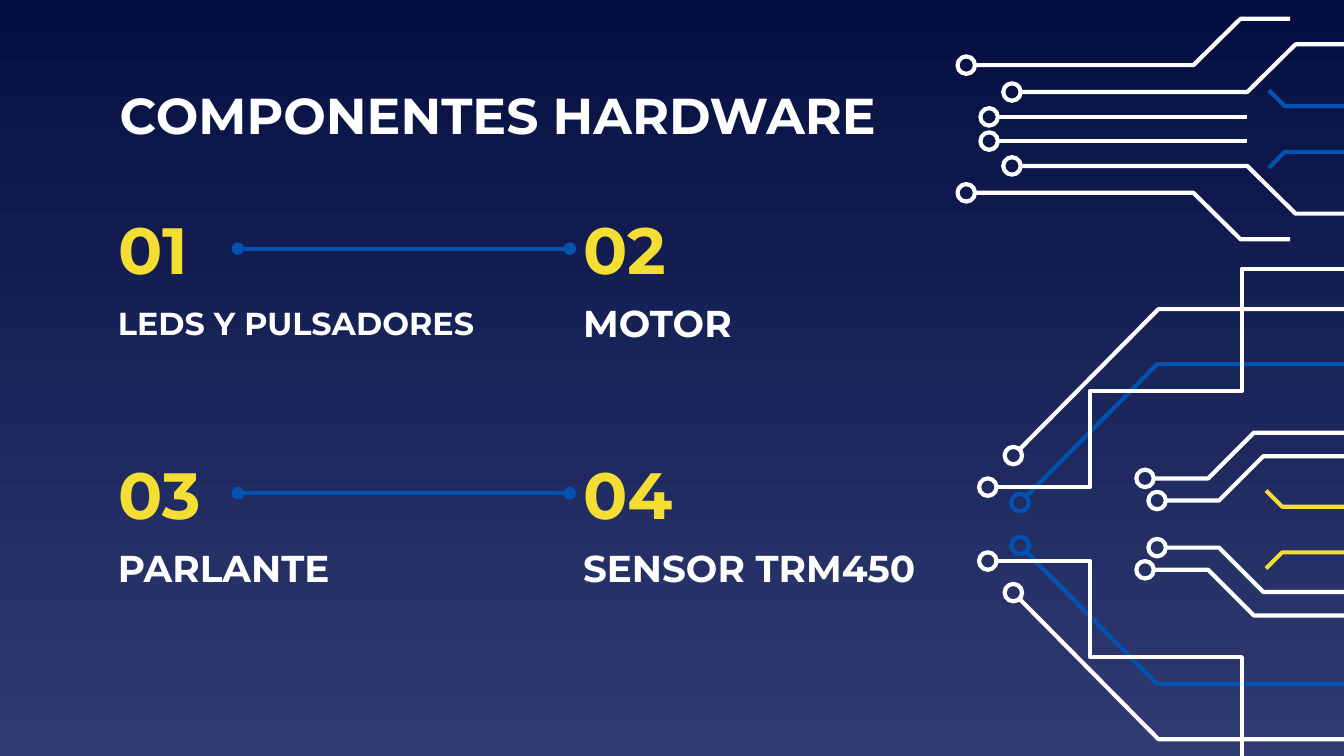
import math
from dataclasses import dataclass

from lxml import etree
from pptx import Presentation
from pptx import util as u
from pptx.dml.color import RGBColor
from pptx.enum import shapes, text
from pptx.oxml.ns import qn

CELL = u.Inches(0.1)
COLUMNS, ROWS = 100, 56.25


@dataclass(frozen=True)
class Theme:
    top: str = "040E41"
    bottom: str = "303B72"
    white: str = "FFFFFF"
    yellow: str = "F5DE34"
    blue: str = "0152B1"
    font: str = "Montserrat"
    heading: int = 27
    number: int = 35
    label: int = 20
    long_label: int = 17
    stroke: float = 2.25


@dataclass(frozen=True)
class Box:
    """An area of the slide, in grid cells."""
    left: float
    top: float
    width: float
    height: float

    @property
    def middle(self):
        return self.top + self.height / 2

    def emu(self):
        return [cells(v) for v in (self.left, self.top, self.width, self.height)]


THEME = Theme()
RING = 1.3

# A trace is (colour, has a ring, points); a point is the distance from the
# left of its box and the distance from the box's horizontal axis.
FAN = [
    (THEME.white, True, [(0.6, 4.75), (17.5, 4.75), (21, 8.2), (24.7, 8.2)]),
    (THEME.white, True, [(4, 2.75), (21.5, 2.75), (25.1, 6.3), (28.7, 6.3)]),
    (THEME.white, True, [(2.3, 0.9), (21.5, 0.9)]),
]
CHIP = [
    (THEME.white, True, [(1.6, 1.75), (6.2, 1.75), (9.5, 5.05), (15.5, 5.05)]),
    (THEME.white, True, [(0.7, 3.4), (5.4, 3.4), (8.8, 6.8), (15.5, 6.8)]),
]
WIDE = [
    (THEME.blue, True, [(2.9, 1.6), (13.1, 11.9), (27, 11.9)]),
    (THEME.white, True, [(0.5, 2.75), (8.1, 2.75), (8.1, 9.9), (19.4, 9.9),
                         (19.4, 19), (27, 19)]),
    (THEME.white, True, [(2.4, 5.1), (13.2, 16), (27, 16)]),
]


def edge_pins(color, width):
    return [(color, False, [(0, 2.9), (1.2, 1.7), (width, 1.7)])]


def cells(value):
    return int(value * CELL)


def rgb(color):
    return RGBColor.from_string(color)


def style_line(shape, color):
    shape.line.color.rgb = rgb(color)
    shape.line.width = u.Pt(THEME.stroke)


def write(shape, words, *, size, color=THEME.white):
    frame = shape.text_frame
    frame.word_wrap = True
    frame.auto_size = text.MSO_AUTO_SIZE.NONE
    frame.vertical_anchor = text.MSO_ANCHOR.MIDDLE
    frame.margin_left = frame.margin_right = CELL
    frame.margin_top = frame.margin_bottom = CELL
    paragraph = frame.paragraphs[0]
    paragraph.alignment = text.PP_ALIGN.LEFT
    run = paragraph.add_run()
    run.text = words
    run.font.name = THEME.font
    run.font.size = u.Pt(size)
    run.font.bold = True
    run.font.color.rgb = rgb(color)


def draw_background(slide):
    fill = slide.background.fill
    fill.gradient()
    fill.gradient_angle = 270
    for stop, color in zip(fill.gradient_stops, (THEME.top, THEME.bottom)):
        stop.color.rgb = rgb(color)


def draw_heading(slide, box):
    title = slide.shapes.title
    title.left, title.top, title.width, title.height = box.emu()
    write(title, "COMPONENTES HARDWARE", size=THEME.heading)


def draw_ring(slide, x, y, color):
    box = Box(x - RING / 2, y - RING / 2, RING, RING)
    ring = slide.shapes.add_shape(shapes.MSO_SHAPE.OVAL, *box.emu())
    ring.shadow.inherit = False
    ring.fill.background()
    style_line(ring, color)


def draw_trace(slide, points, color):
    (x, y), *rest = [(cells(px), cells(py)) for px, py in points]
    builder = slide.shapes.build_freeform(x, y)
    builder.add_line_segments(rest, close=False)
    trace = builder.convert_to_shape()
    trace.shadow.inherit = False
    trace.fill.background()
    style_line(trace, color)


def clip_at_bottom(points):
    """Cut a trace where it runs down out of the slide."""
    kept = []
    for x, y in points:
        kept.append((x, min(y, ROWS)))
        if y > ROWS:
            break
    return kept


def draw_circuit(slide, box, traces):
    """Draw each trace above the box's axis and mirrored below it."""
    for side in (-1, 1):
        for color, has_ring, offsets in traces:
            points = clip_at_bottom(
                [(box.left + dx, box.middle + side * dy) for dx, dy in offsets])
            if has_ring:
                (x, y), (next_x, next_y) = points[:2]
                draw_ring(slide, x, y, color)
                angle = math.atan2(next_y - y, next_x - x)
                points[0] = (x + RING / 2 * math.cos(angle),
                             y + RING / 2 * math.sin(angle))
            draw_trace(slide, points, color)


def draw_component(slide, box, number, label, size):
    number_box = Box(box.left, box.top, 9.9, 5.8)
    label_box = Box(box.left, box.top + 5.8, box.width, 5.2)
    write(slide.shapes.add_textbox(*number_box.emu()), number,
          size=THEME.number, color=THEME.yellow)
    write(slide.shapes.add_textbox(*label_box.emu()), label, size=size)
    return number_box


def draw_link(slide, start, end):
    link = slide.shapes.add_connector(
        shapes.MSO_CONNECTOR.STRAIGHT,
        cells(start.left + start.width), cells(start.middle),
        cells(end.left), cells(end.middle))
    style_line(link, THEME.blue)
    line = link.line._get_or_add_ln()
    for tip in ("a:headEnd", "a:tailEnd"):
        etree.SubElement(line, qn(tip), type="oval")
    etree.SubElement(link._element.spPr, qn("a:effectLst"))


def draw_components(slide, box):
    rows = [
        [("LEDS Y PULSADORES", THEME.long_label), ("MOTOR", THEME.label)],
        [("PARLANTE", THEME.label), ("SENSOR TRM450", THEME.label)],
    ]
    column_step, row_step = 34.6, 18.2
    for r, row in enumerate(rows):
        numbers = [
            draw_component(
                slide,
                Box(box.left + c * column_step, box.top + r * row_step, 29, 11),
                f"{r * len(row) + c + 1:02}", label, size)
            for c, (label, size) in enumerate(row)]
        draw_link(slide, *numbers)


def main():
    deck = Presentation()
    deck.slide_width, deck.slide_height = cells(COLUMNS), cells(ROWS)
    slide = deck.slides.add_slide(deck.slide_layouts[5])
    draw_background(slide)
    draw_circuit(slide, Box(84.5, 32, 15.5, 14), CHIP)
    draw_circuit(slide, Box(94.2, 36.5, 5.8, 5.8), edge_pins(THEME.yellow, 5.8))
    draw_circuit(slide, Box(94.4, 6.7, 5.6, 5.8), edge_pins(THEME.blue, 5.6))
    draw_heading(slide, Box(7.9, 5.9, 58.7, 5.2))
    draw_components(slide, Box(7.8, 15.6, 63.6, 29.2))
    draw_circuit(slide, Box(73, 20, 27, 38), WIDE)
    draw_circuit(slide, Box(71.3, 1.4, 28.7, 16.4), FAN)
    deck.save("out.pptx")


if __name__ == "__main__":
    main()
